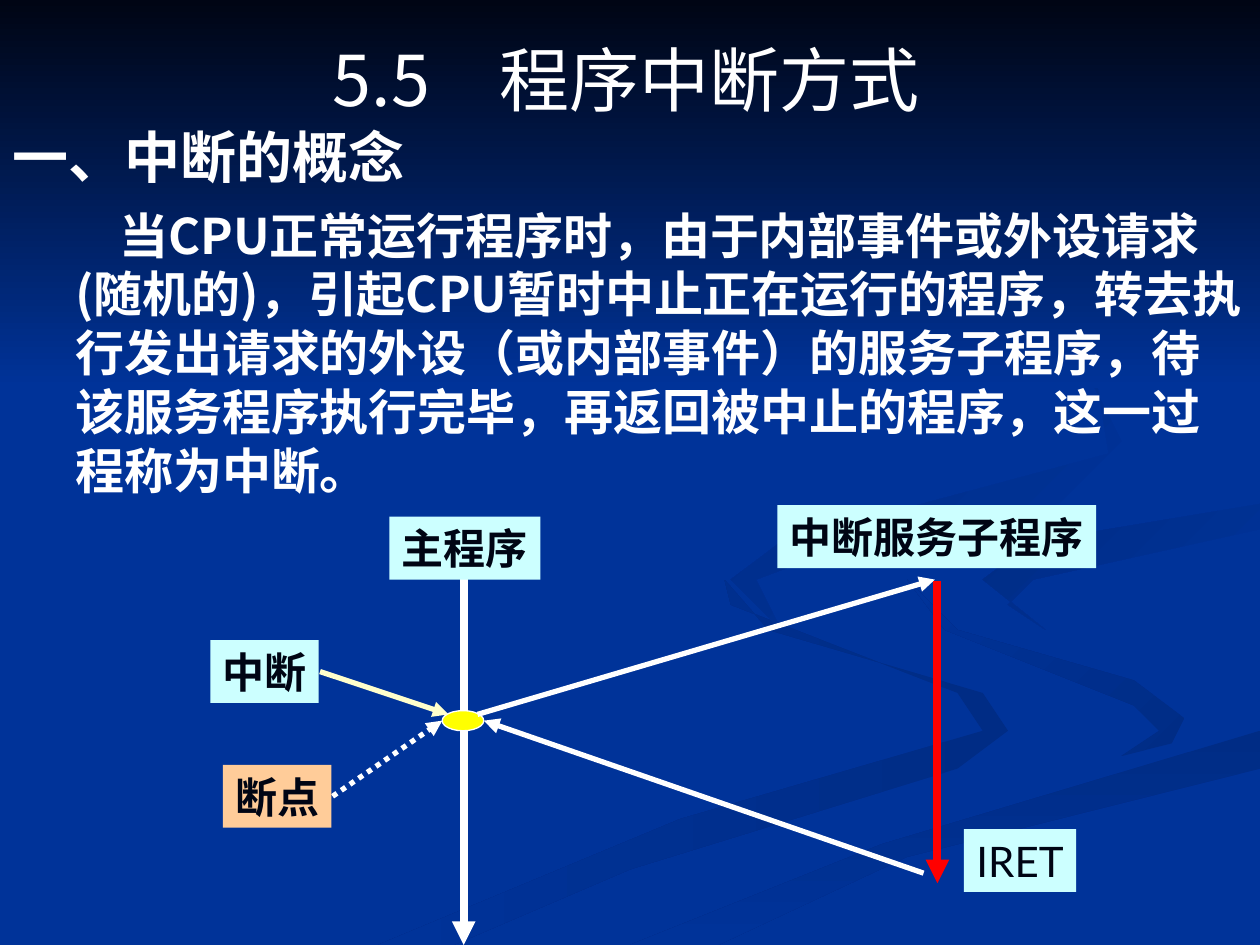
from dataclasses import dataclass
from typing import Optional

import lxml.etree
import pptx
import pptx.dml.color
import pptx.enum.dml
import pptx.enum.shapes
import pptx.enum.text
import pptx.oxml.ns
import pptx.util

Inches, Pt = pptx.util.Inches, pptx.util.Pt
Color = pptx.dml.color.RGBColor.from_string
Shape = pptx.enum.shapes.MSO_SHAPE
Align = pptx.enum.text.PP_ALIGN
Anchor = pptx.enum.text.MSO_ANCHOR
qn = pptx.oxml.ns.qn


@dataclass(frozen=True)
class Theme:
    blue: str = "003399"
    navy: str = "002C85"
    night: str = "000514"
    white: str = "FFFFFF"
    cyan: str = "CCFFFF"
    peach: str = "FFCC99"
    cream: str = "FFFFCC"
    yellow: str = "FFFF00"
    red: str = "FF0000"
    cjk: str = "Noto Sans CJK SC"
    serif: str = "Times New Roman"
    sans: str = "Lato"
    title: int = 40
    heading: int = 32
    body: int = 28
    label: int = 24
    leading: float = 1.2


THEME = Theme()


@dataclass(frozen=True)
class Ribbon:
    points: tuple
    start: str
    end: str
    angle: int = 0


@dataclass(frozen=True)
class Words:
    text: str
    at: tuple
    size: int
    font: str
    color: str = THEME.white
    bold: bool = True
    align: Optional[Align] = None
    anchor: Anchor = Anchor.TOP
    wrap: bool = True
    fill: Optional[str] = None
    margin: float = 0
    indent: float = 0


@dataclass(frozen=True)
class Arrow:
    start: tuple
    end: tuple
    color: str = THEME.white
    width: float = 3
    dotted: bool = False


# Background ribbons, back to front
RIBBONS = (
    Ribbon(((7.8, 5.5), (6.1, 5), (5.75, 4.6), (5.8, 4.8), (7.6, 5.5), (7.8, 5.8),
            (5.4, 6.5), (3, 7.5), (3.6, 7.5), (5, 6.9), (7.6, 6.1), (8, 5.8)),
           THEME.navy, THEME.blue, 180),
    Ribbon(((9.4, 5.7), (9, 5.4), (7.6, 5), (7.2, 4.6), (7.5, 5), (9, 5.6), (9.2, 5.8),
            (8.9, 6), (9.3, 5.9)), THEME.navy, THEME.blue, 225),
    Ribbon(((5, 7.5), (5.7, 7.5), (7.2, 6.8), (10, 6.1), (10, 5.8), (7, 6.7)),
           THEME.navy, THEME.blue, 90),
    Ribbon(((7.8, 4.6), (8.3, 5), (8, 4.8), (8.2, 4.6), (10, 4.2), (10, 4), (8.2, 4.3)),
           THEME.blue, THEME.navy, 225),
    Ribbon(((6.8, 4.3), (8.4, 4), (8.9, 3.5), (8.6, 2.9), (7.6, 2.3), (8.7, 3), (8.8, 3.6),
            (6.2, 4.3), (5.8, 4.6), (6.2, 5), (6, 4.6)), THEME.blue, THEME.navy, 225),
    Ribbon(((0, 0), (0, 3.08), (10, 3.08), (10, 0)), THEME.night, THEME.blue, 90),
)

BODY = ("当CPU正常运行程序时，由于内部事件或外设请求(随机的)，引起CPU暂时中止正在运行的程序，"
        "转去执行发出请求的外设（或内部事件）的服务子程序，待该服务程序执行完毕，"
        "再返回被中止的程序，这一过程称为中断。")
TEXTS = (
    Words("5.5　程序中断方式", (0.72, 0, 8.5, 1.25), THEME.title, THEME.cjk, bold=False,
          align=Align.CENTER, anchor=Anchor.MIDDLE),
    Words("一、中断的概念", (0, 0.92, 4.03, 0.64), THEME.heading, THEME.serif),
    Words(BODY, (0, 1.58, 10, 2.44), THEME.body, THEME.cjk, margin=0.5, indent=0.35),
)


def label(text: str, left: float, top: float, width: float, fill: str = THEME.cyan,
          font: str = THEME.sans, bold: bool = True) -> Words:
    return Words(text, (left, top, width, 0.5), THEME.label, font, THEME.night, bold,
                 Align.CENTER, Anchor.MIDDLE, False, fill)


LABELS = (
    label("中断", 1.67, 5.08, 0.86, font=THEME.serif),
    label("断点", 1.77, 6.07, 0.86, fill=THEME.peach),
    label("IRET", 7.65, 6.58, 0.89, bold=False),
    label("中断服务子程序", 6.17, 4.01, 2.53),
    label("主程序", 3.09, 4.1, 1.2),
)
MAIN_FLOW = Arrow((3.68, 4.49), (3.68, 7.5), width=4.5)
ARROWS = (
    Arrow((2.64, 6.32), (3.51, 5.72), dotted=True),
    Arrow((3.79, 5.67), (7.42, 4.6)),
    Arrow((7.33, 6.93), (3.84, 5.72)),
    Arrow((7.44, 4.61), (7.44, 7.01), THEME.red, 4.5),
    Arrow((2.54, 5.33), (3.56, 5.67), THEME.cream),
)


def apply(target: object, values: dict) -> None:
    for name, value in values.items():
        setattr(target, name, value)


def paint(shape, color: str) -> None:
    shape.shadow.inherit = False
    shape.fill.solid()
    shape.fill.fore_color.rgb = Color(color)
    shape.line.fill.background()


def draw_ribbon(page, ribbon: Ribbon) -> None:
    points = [(Inches(x), Inches(y)) for x, y in ribbon.points]
    builder = page.shapes.build_freeform(*points[0], scale=1.0)
    builder.add_line_segments(points[1:], close=True)
    shape = builder.convert_to_shape()
    paint(shape, ribbon.start)
    shape.fill.gradient()
    shape.fill.gradient_angle = 360 - ribbon.angle
    for stop, color in zip(shape.fill.gradient_stops, (ribbon.start, ribbon.end)):
        stop.color.rgb = Color(color)


def draw_words(page, words: Words) -> None:
    place = [Inches(length) for length in words.at]
    if words.fill:
        box = page.shapes.add_shape(Shape.RECTANGLE, *place)
        paint(box, words.fill)
    else:
        box = page.shapes.add_textbox(*place)
    apply(box.text_frame, {"word_wrap": words.wrap, "vertical_anchor": words.anchor})
    para = box.text_frame.paragraphs[0]
    apply(para, {"alignment": words.align, "line_spacing": Pt(words.size * THEME.leading)})
    if words.margin:
        props = para._p.get_or_add_pPr()
        props.set("marL", str(Inches(words.margin)))
        props.set("indent", str(Inches(words.indent)))
    span = para.add_run()
    span.text = words.text
    apply(span.font, {"size": Pt(words.size), "bold": words.bold, "name": words.font})
    span.font.color.rgb = Color(words.color)
    lxml.etree.SubElement(span._r.get_or_add_rPr(), qn("a:ea"), typeface=THEME.cjk)


def draw_arrow(page, arrow: Arrow) -> None:
    ends = [Inches(length) for length in arrow.start + arrow.end]
    link = page.shapes.add_connector(pptx.enum.shapes.MSO_CONNECTOR.STRAIGHT, *ends)
    link.line.color.rgb = Color(arrow.color)
    link.line.width = Pt(arrow.width)
    if arrow.dotted:
        link.line.dash_style = pptx.enum.dml.MSO_LINE.ROUND_DOT
    lxml.etree.SubElement(link.line._get_or_add_ln(), qn("a:tailEnd"), type="triangle")
    lxml.etree.SubElement(link._element.spPr, qn("a:effectLst"))


def draw_breakpoint(page) -> None:
    place = [Inches(length) for length in (3.51, 5.64, 0.33, 0.16)]
    dot = page.shapes.add_shape(Shape.FLOWCHART_CONNECTOR, *place)
    paint(dot, THEME.yellow)
    dot.line.color.rgb = Color(THEME.white)
    dot.line.width = Pt(0.75)


def main() -> None:
    deck = pptx.Presentation()
    apply(deck, {"slide_width": Inches(10), "slide_height": Inches(7.5)})
    page = deck.slides.add_slide(deck.slide_layouts[6])
    page.background.fill.solid()
    page.background.fill.fore_color.rgb = Color(THEME.blue)
    for ribbon in RIBBONS:
        draw_ribbon(page, ribbon)
    # Interrupt flow diagram
    draw_arrow(page, MAIN_FLOW)
    draw_breakpoint(page)
    for arrow in ARROWS:
        draw_arrow(page, arrow)
    # Diagram labels, then title, heading and body
    for words in LABELS + TEXTS:
        draw_words(page, words)
    deck.save("out.pptx")


if __name__ == "__main__":
    main()
